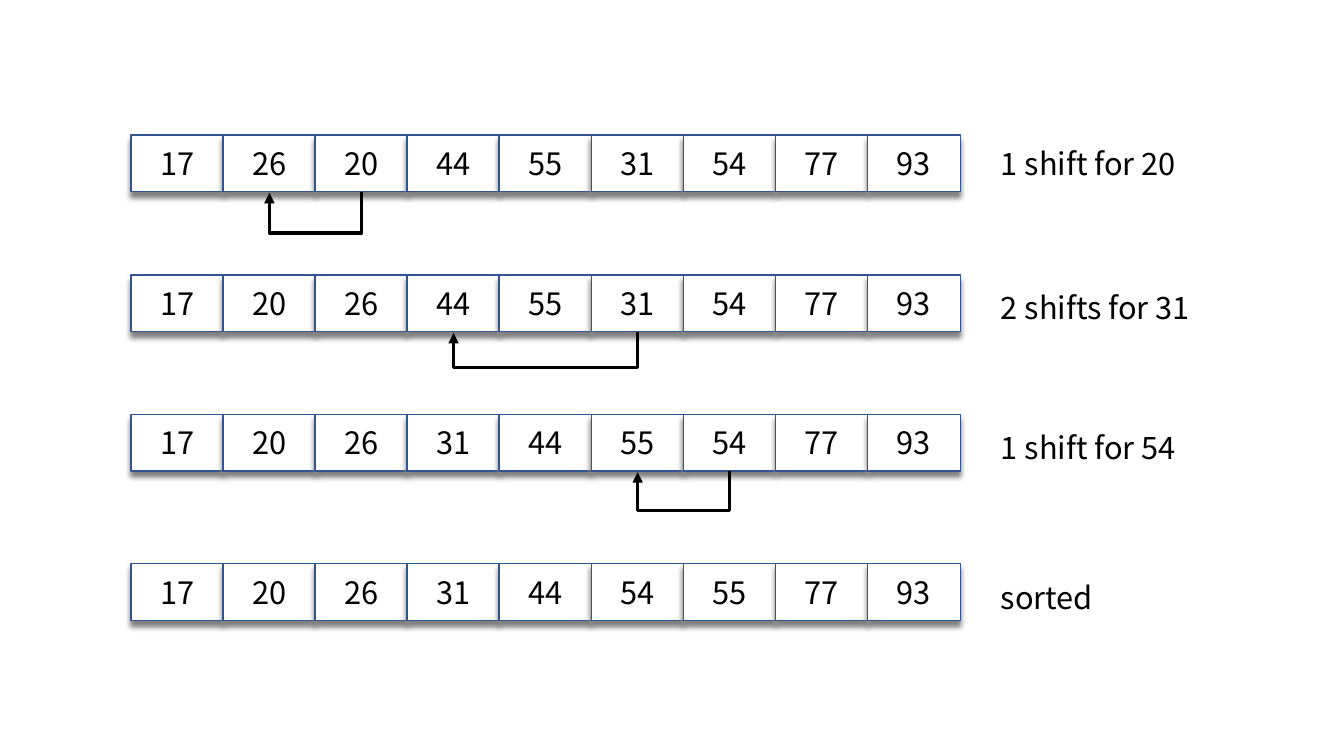
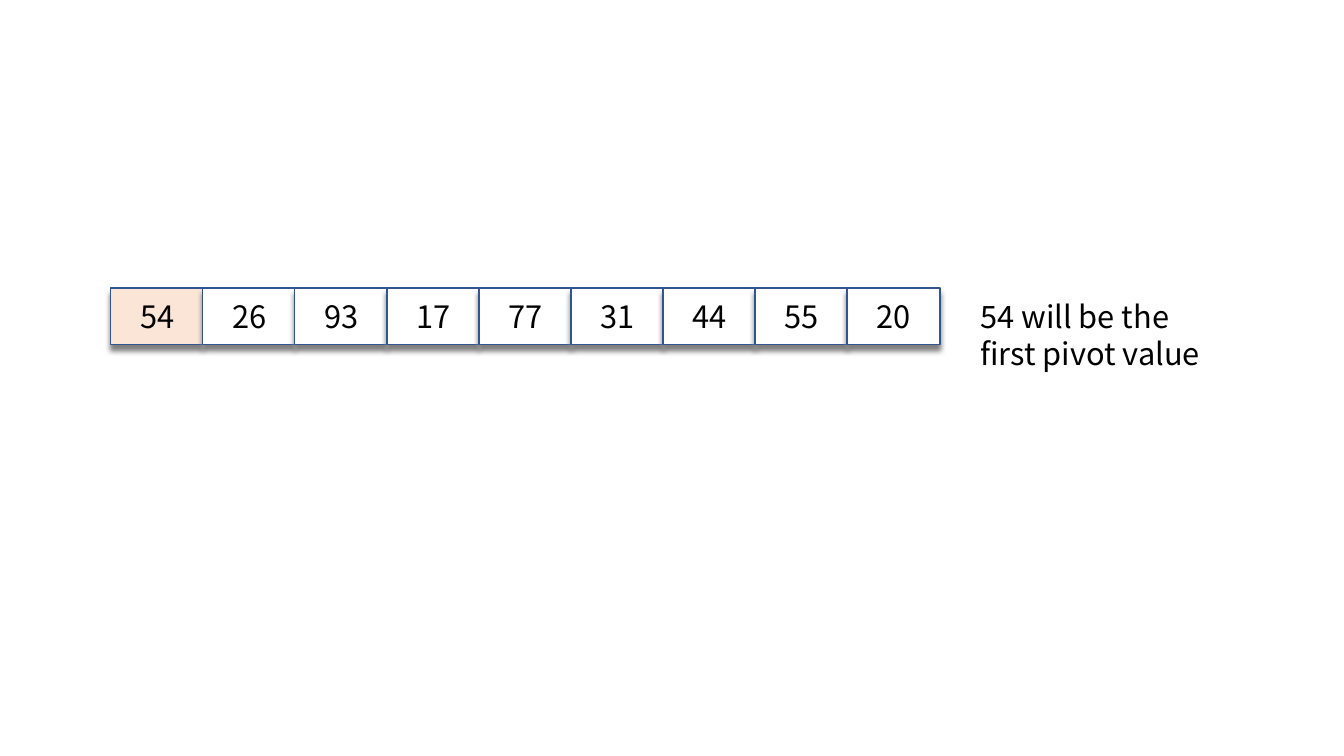
from lxml import etree
from pptx import Presentation
from pptx.dml.color import RGBColor
from pptx.enum.shapes import MSO_CONNECTOR, MSO_SHAPE
from pptx.enum.text import MSO_ANCHOR, PP_ALIGN
from pptx.oxml.ns import qn
from pptx.util import Cm, Pt

RECTANGLE = MSO_SHAPE.RECTANGLE
ELBOW = MSO_CONNECTOR.ELBOW
MIDDLE = MSO_ANCHOR.MIDDLE
CENTER = PP_ALIGN.CENTER

COLORS = {
    "cell": "FFFFFF",
    "pivot": "FBE5D6",
    "border": "325491",
    "shadow": "808080",
    "ink": "000000",
}
FONT = "Noto Sans CJK KR"
TEXT_SIZE = 22

# Lengths in centimetres
PITCH = 2.32
CELL_WIDTH = 2.34
CELL_HEIGHT = 1.43
LABEL_OFFSET = 21.67
LINE_HEIGHT = 0.94
ARROW_RISE = 0.03

# Row top, values, label, label drop, label width, arrow (from, to, depth)
SORT_STEPS = [
    (3.4, [17, 26, 20, 44, 55, 31, 54, 77, 93], "1 shift for 20", 0.13, 5.13, (2, 1, 1.04)),
    (6.93, [17, 20, 26, 44, 55, 31, 54, 77, 93], "2 shifts for 31", 0.23, 5.59, (5, 3, 0.9)),
    (10.44, [17, 20, 26, 31, 44, 55, 54, 77, 93], "1 shift for 54", 0.25, 5.59, (6, 5, 1.0)),
    (14.2, [17, 20, 26, 31, 44, 54, 55, 77, 93], "sorted", 0.25, 5.59, None),
]
PIVOT_VALUES = [54, 26, 93, 17, 77, 31, 44, 55, 20]


def color(name):
    """Return a named colour."""
    return RGBColor.from_string(COLORS[name])


def write(frame, text):
    """Put one paragraph in the shared text style and return it."""
    frame.text = text
    para = frame.paragraphs[0]
    for span in para.runs:
        span.font.name = FONT
        span.font.size = Pt(TEXT_SIZE)
        span.font.color.rgb = color("ink")
    return para


def add_shadow(shape):
    """Drop a soft grey shadow straight down from a shape."""
    shape.shadow.inherit = False
    effects = shape._element.spPr.find(qn("a:effectLst"))
    shadow = etree.SubElement(effects, qn("a:outerShdw"), blurRad=str(Pt(4)),
                              dist=str(Pt(4)), dir="5400000", rotWithShape="0")
    etree.SubElement(shadow, qn("a:srgbClr"), val=COLORS["shadow"])


def add_cell(shapes, left, top, value, fill):
    """Draw one array cell."""
    cell = shapes.add_shape(RECTANGLE, Cm(left), Cm(top), Cm(CELL_WIDTH), Cm(CELL_HEIGHT))
    cell.fill.solid()
    cell.fill.fore_color.rgb = color(fill)
    cell.line.color.rgb = color("border")
    cell.line.width = Pt(1)
    add_shadow(cell)
    cell.text_frame.vertical_anchor = MIDDLE
    write(cell.text_frame, str(value)).alignment = CENTER


def add_row(page, left, top, values, label, drop, label_width, lines=1, pivot=None):
    """Draw a grouped array with its label on the right."""
    shapes = page.shapes.add_group_shape().shapes
    for index, value in enumerate(values):
        add_cell(shapes, left + index * PITCH, top, value,
                 "pivot" if index == pivot else "cell")
    box = shapes.add_textbox(Cm(left + LABEL_OFFSET), Cm(top + drop),
                             Cm(label_width), Cm(0.25 + lines * LINE_HEIGHT))
    box.text_frame.word_wrap = True
    write(box.text_frame, label)


def add_shift_arrow(page, left, bottom, source, target, depth):
    """Lead a U-shaped arrow from one cell to another below a row."""
    span = (source - target) * PITCH
    middle = left + (source + target) / 2 * PITCH + CELL_WIDTH / 2
    x, y = middle - ARROW_RISE / 2, bottom + (ARROW_RISE - span) / 2
    arrow = page.shapes.add_connector(ELBOW, Cm(x), Cm(y), Cm(x + ARROW_RISE), Cm(y + span))
    arrow.line.color.rgb = color("ink")
    arrow.line.width = Pt(2.5)
    properties = arrow._element.spPr
    properties.find(qn("a:xfrm")).set("rot", "5400000")
    guides = properties.find(qn("a:prstGeom")).get_or_add_avLst()
    bend = round(depth / ARROW_RISE * 100000)
    etree.SubElement(guides, qn("a:gd"), name="adj1", fmla=f"val {bend}")
    etree.SubElement(properties.find(qn("a:ln")), qn("a:tailEnd"), type="triangle")
    etree.SubElement(properties, qn("a:effectLst"))


def build_sort_slide(page, left):
    """Show the remaining shifts of the sort, one row each."""
    for top, values, label, drop, label_width, arrow in SORT_STEPS:
        add_row(page, left, top, values, label, drop, label_width)
        if arrow:
            add_shift_arrow(page, left, top + CELL_HEIGHT, *arrow)


def build_pivot_slide(page, left, top):
    """Show the unsorted array with its first pivot marked."""
    add_row(page, left, top, PIVOT_VALUES, "54 will be the first pivot value",
            0.13, 6.6, lines=2, pivot=0)


def main():
    """Build and save the deck."""
    deck = Presentation()
    deck.slide_width, deck.slide_height = Cm(33.87), Cm(19.05)
    blank = deck.slide_layouts[6]
    build_sort_slide(deck.slides.add_slide(blank), 3.3)
    build_pivot_slide(deck.slides.add_slide(blank), 2.79, 7.26)
    deck.save("out.pptx")


main()
